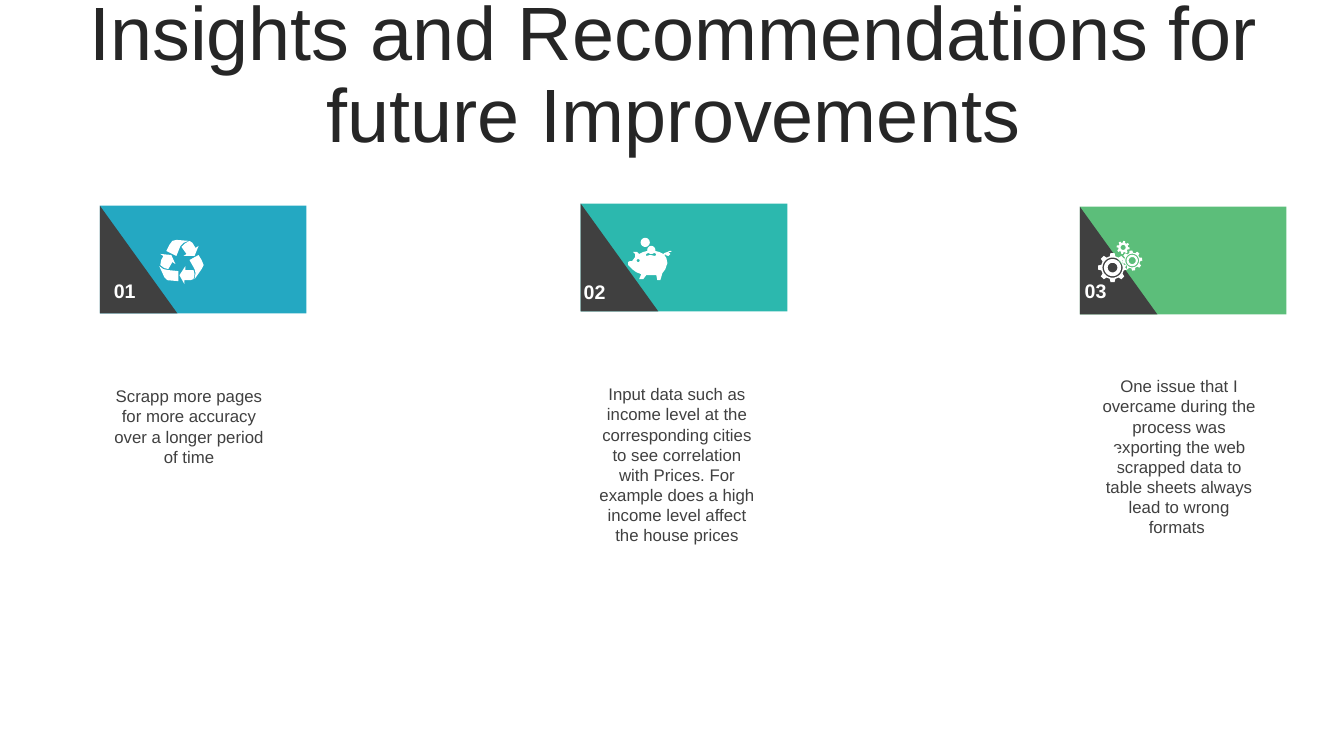
import math

from pptx import Presentation
from pptx import util as u
from pptx.dml.color import RGBColor
from pptx.enum import shapes, text

PX = 9144  # EMU per px, 100 px to the inch

WHITE = RGBColor(0xFF, 0xFF, 0xFF)
INK = RGBColor(0x26, 0x26, 0x26)
DARK = RGBColor(0x40, 0x40, 0x40)
BLUE = RGBColor(0x24, 0xA8, 0xC2)
TEAL = RGBColor(0x2C, 0xB8, 0xAE)
GREEN = RGBColor(0x5C, 0xBE, 0x7A)


def px(value):
    return u.Emu(round(value * PX))


def write(frame, words, size=12, color=DARK, bold=False, align=text.PP_ALIGN.LEFT,
          anchor=text.MSO_ANCHOR.TOP, fit=text.MSO_AUTO_SIZE.SHAPE_TO_FIT_TEXT,
          line=None, before=None):
    frame.word_wrap = True
    frame.auto_size = fit
    frame.vertical_anchor = anchor
    para = frame.paragraphs[0]
    para.alignment = align
    if line:
        para.line_spacing = line
    if before:
        para.space_before = u.Pt(before)
    span = para.add_run()
    span.text = words
    span.font.name = "Arial"
    span.font.size = u.Pt(size)
    span.font.bold = bold
    span.font.color.rgb = color


def polar(cx, cy, radius, degrees):
    angle = math.radians(degrees)
    return cx + radius * math.sin(angle), cy - radius * math.cos(angle)


def circle(cx, cy, radius):
    return [polar(cx, cy, radius, 10 * step) for step in range(36)]


def gear(cx, cy, tip, root, turn, holes):
    """Outline with eight teeth, followed by the rings inside it."""
    outline = [polar(cx, cy, radius, turn + 45 * tooth + offset)
               for tooth in range(8)
               for radius, offset in ((root, -14), (tip, -8), (tip, 8), (root, 14))]
    return [outline] + [circle(cx, cy, radius) for radius in holes]


class Slide:
    def __init__(self, deck):
        self.page = deck.slides.add_slide(deck.slide_layouts[5])

    def title(self, words, left, top, width, height):
        box = self.page.shapes.title
        box.left, box.top, box.width, box.height = map(px, (left, top, width, height))
        write(box.text_frame, words, size=54, color=INK, align=text.PP_ALIGN.CENTER,
              anchor=text.MSO_ANCHOR.MIDDLE, fit=text.MSO_AUTO_SIZE.NONE,
              line=0.9, before=10)

    def label(self, words, left, top, width, height, **style):
        box = self.page.shapes.add_textbox(*map(px, (left, top, width, height)))
        write(box.text_frame, words, **style)

    def paint(self, shape, color):
        shape.shadow.inherit = False
        shape.fill.solid()
        shape.fill.fore_color.rgb = color
        shape.line.fill.background()

    def card(self, left, top, color):
        group = self.page.shapes.add_group_shape()
        kinds = shapes.MSO_SHAPE
        for kind, width, fill in ((kinds.RECTANGLE, 205, color),
                                  (kinds.RIGHT_TRIANGLE, 77, DARK)):
            shape = group.shapes.add_shape(kind, *map(px, (left, top, width, 107)))
            self.paint(shape, fill)

    def icon(self, contours):
        points = [[(px(x), px(y)) for x, y in contour] for contour in contours]
        builder = self.page.shapes.build_freeform(*points[0][0], scale=1.0)
        for index, contour in enumerate(points):
            if index:
                builder.move_to(*contour[0])
            builder.add_line_segments(contour[1:], close=True)
        self.paint(builder.convert_to_shape(), WHITE)


# Icon outlines
RECYCLE = [
    [(184, 264), (184, 268), (192, 268), (193, 272), (192, 277), (189, 278),
     (183, 278), (183, 282), (178, 273)],
    [(158, 264), (162, 267), (167, 268), (177, 269), (177, 279), (166, 278),
     (163, 275)],
    [(197, 253), (200, 258), (202, 263), (200, 267), (193, 277), (194, 271),
     (193, 267), (188, 258)],
    [(159, 252), (170, 253), (174, 262), (171, 260), (167, 267), (163, 266),
     (159, 263), (160, 258), (162, 254)],
    [(188, 239), (191, 241), (194, 246), (197, 244), (193, 254), (182, 254),
     (185, 252), (180, 245), (183, 242)],
    [(175, 238), (187, 239), (182, 241), (179, 244), (175, 254), (165, 249),
     (168, 243), (171, 239)],
]
PIGGY_BANK = [
    [(666, 249), (666, 250), (663, 250), (665, 252), (663, 254), (660, 253),
     (661, 251), (660, 252), (659, 253), (661, 256), (662, 261), (660, 267),
     (657, 271), (655, 278), (652, 278), (651, 273), (645, 273), (641, 273),
     (638, 277), (634, 277), (636, 272), (631, 270), (627, 267), (623, 263),
     (623, 260), (625, 259), (627, 259), (630, 255), (630, 252), (628, 250),
     (632, 250), (634, 252), (638, 250), (642, 249), (643, 251), (641, 252),
     (641, 254), (645, 253), (650, 254), (651, 252), (649, 251), (650, 249),
     (654, 250), (658, 252), (659, 251), (662, 250), (664, 249)],
    circle(633, 258.5, 1.5),
    circle(646, 248, 4),
    circle(640, 240.5, 4.5),
]
GEARS = (gear(1103.5, 265.5, 14.5, 11.5, 0, (10, 8.5, 4.8))
         + gear(1123, 258.5, 10, 7.8, -8, (6.8, 5.6, 3.5))
         + gear(1114, 245.5, 6.5, 4.8, 10, (2.5,)))
SPEECH_BUBBLES = [
    [(1100, 443), (1105, 443), (1108, 444), (1109, 448), (1109, 462), (1108, 465),
     (1105, 466), (1100, 466), (1102, 469), (1106, 471), (1098, 470), (1092, 466),
     (1081, 466), (1077, 464), (1085, 460), (1096, 460), (1099, 459), (1100, 455)],
    [(1071, 436), (1095, 436), (1098, 437), (1099, 440), (1099, 454), (1098, 458),
     (1095, 459), (1084, 459), (1077, 462), (1068, 463), (1073, 461), (1076, 459),
     (1071, 459), (1067, 458), (1066, 454), (1066, 440), (1067, 437)],
] + [circle(x, 447.5, 2.5) for x in (1075, 1083, 1091)]

# Number, card position and colour, number position, text place, icon, words
CARDS = [
    ("01", (99, 204), BLUE, (103, 271), (99, 378, 91), RECYCLE,
     "Scrapp more pages for more accuracy over a longer period of time"),
    ("02", (576, 202), TEAL, (569, 272), (583, 376, 172), PIGGY_BANK,
     "Input data such as income level at the corresponding cities to see correlation "
     "with Prices. For example does a high income level affect the house prices"),
    ("03", (1071, 205), GREEN, (1066, 271), (1081, 368, 172), GEARS,
     "One issue that I overcame during the process was exporting the web scrapped "
     "data to table sheets always lead to wrong formats "),
]


def main():
    deck = Presentation()
    deck.slide_width, deck.slide_height = px(1333), px(750)
    slide = Slide(deck)
    slide.title("Insights and Recommendations for future Improvements", 35, 37, 1266, 79)

    # Numbered cards with the text below them
    for number, place, color, spot, (left, top, height), icon, words in CARDS:
        slide.card(*place, color)
        slide.label(number, *spot, 51, 34, size=14, color=WHITE, bold=True,
                    anchor=text.MSO_ANCHOR.MIDDLE)
        slide.label(words, left, top, 177, height, align=text.PP_ALIGN.CENTER)
        slide.icon(icon)

    # Speech bubbles at the edge of the third text
    slide.icon(SPEECH_BUBBLES)
    deck.save("out.pptx")


if __name__ == "__main__":
    main()
